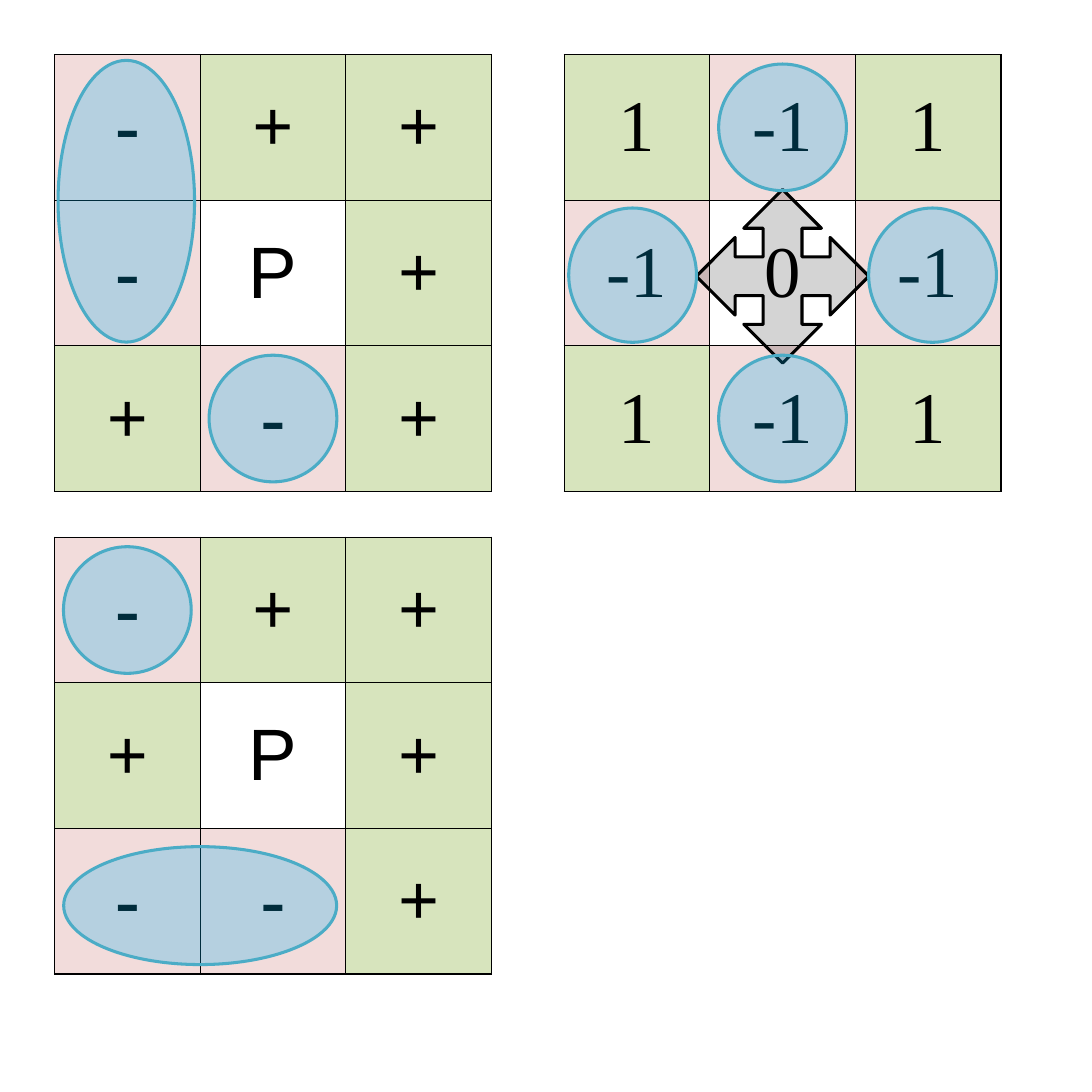
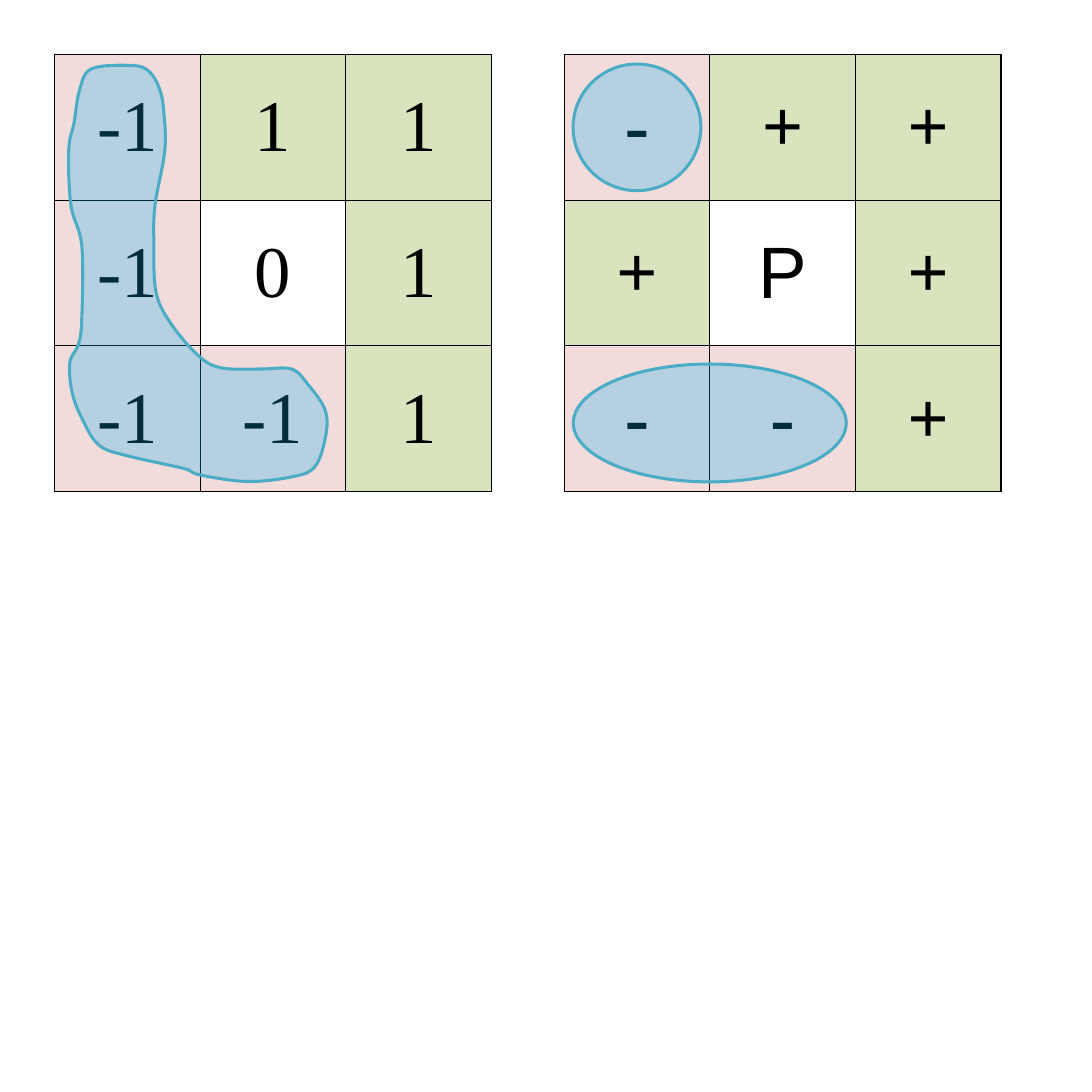
from lxml import etree
from pptx import Presentation
from pptx.dml.color import RGBColor
from pptx.enum.shapes import MSO_SHAPE
from pptx.enum.text import MSO_ANCHOR, PP_ALIGN
from pptx.oxml.ns import qn
from pptx.util import Inches, Pt

ELLIPSE = MSO_SHAPE.OVAL
QUAD_ARROW = MSO_SHAPE.QUAD_ARROW
CENTER = PP_ALIGN.CENTER
MIDDLE = MSO_ANCHOR.MIDDLE

BLACK, WHITE = "000000", "FFFFFF"
PINK, GREEN = "F2DCDB", "D7E4BD"
SKY, TEAL = "00B0F0", "4BACC6"
SERIF, SANS = "Times New Roman", "Arial"

# Three cells make a grid; the second grid starts half a cell after the first
GRID_SIZE = 4
CELL = GRID_SIZE / 3
LEFT, TOP = 0.5, 0.5
RIGHT = LEFT + 3.5 * CELL
BOTTOM = 4.92

# Width and height of the marks laid over the cells
ROUND = (1.17, 1.16)
SIDE_ROUND = (1.17, 1.23)
TALL = (1.25, 2.58)
WIDE = (2.5, 1.08)
ARROW = (1.58, 1.59)

CORNER_SIGNS = ["- + +", "+ P +", "- - +"]

# The L-shaped group, side by side, in inches from the corner of its grid
TOP_END = [(0.7, 0.1), (0.34, 0.13)]
OUTER_LEFT = [(0.23, 0.32), (0.18, 0.62), (0.13, 0.87), (0.15, 1.38), (0.25, 1.75),
              (0.25, 2.41), (0.22, 2.65), (0.14, 2.82), (0.16, 3.09), (0.25, 3.33)]
OUTER_BOTTOM = [(0.41, 3.58), (0.69, 3.68), (1.18, 3.79), (1.33, 3.85),
                (1.76, 3.91), (2.16, 3.87)]
RIGHT_END = [(2.38, 3.78), (2.48, 3.51), (2.48, 3.26), (2.32, 3.02), (2.17, 2.88)]
INNER_BEND = [(1.89, 2.88), (1.53, 2.87), (1.32, 2.76), (1.07, 2.47), (0.93, 2.18)]
INNER_RIGHT = [(0.91, 1.74), (0.92, 1.38), (1.01, 0.88), (1.0, 0.52),
               (0.96, 0.31), (0.86, 0.15)]
GROUP = TOP_END + OUTER_LEFT + OUTER_BOTTOM + RIGHT_END + INNER_BEND + INNER_RIGHT


def color(value):
    return RGBColor.from_string(value)


def write(cell, text, size=48, font=SERIF, bold=False, ink=BLACK):
    para = cell.text_frame.paragraphs[0]
    para.alignment = CENTER
    span = para.add_run()
    span.text = text
    span.font.size = Pt(size)
    span.font.name = font
    span.font.bold = bold
    span.font.color.rgb = color(ink)


def add_borders(cell, ink=BLACK, width=1):
    properties = cell._tc.get_or_add_tcPr()
    for index, side in enumerate(("a:lnL", "a:lnR", "a:lnT", "a:lnB")):
        line = etree.Element(qn(side), w=str(Pt(width)))
        fill = etree.SubElement(line, qn("a:solidFill"))
        etree.SubElement(fill, qn("a:srgbClr"), val=ink)
        properties.insert(index, line)


def cell_fill(text):
    """Pink for negative neighbours, green for positive, white for the centre."""
    if text.startswith("-"):
        return PINK
    return WHITE if text in ("P", "0") else GREEN


def smooth(anchors, steps=6):
    """Return points on a closed Catmull-Rom curve through the anchors."""
    points = []
    count = len(anchors)
    for index in range(count):
        near = [anchors[(index + offset) % count] for offset in (-1, 0, 1, 2)]
        for step in range(steps):
            t = step / steps
            weights = (-t + 2 * t**2 - t**3, 2 - 5 * t**2 + 3 * t**3,
                       t + 4 * t**2 - 3 * t**3, t**3 - t**2)
            points.append([sum(w * value for w, value in zip(weights, axis)) / 2
                           for axis in zip(*near)])
    return points


class Board:
    """Holds the deck, its style and the current slide."""

    def __init__(self):
        self.deck = Presentation()
        self.deck.slide_width = self.deck.slide_height = Inches(10)
        self.page = None

    def new_page(self):
        self.page = self.deck.slides.add_slide(self.deck.slide_layouts[6])

    def grid(self, left, top, rows):
        """Draw a table from rows of spaced values and return its corner."""
        values = [row.split() for row in rows]
        side = Inches(GRID_SIZE)
        table = self.page.shapes.add_table(
            len(values), len(values[0]), Inches(left), Inches(top), side, side).table
        table.first_row = table.horz_banding = False
        for r, row in enumerate(values):
            for c, text in enumerate(row):
                self.fill_cell(table.cell(r, c), text)
        return left, top

    def fill_cell(self, cell, text):
        cell.vertical_anchor = MIDDLE
        cell.margin_left = cell.margin_right = Inches(0.13)
        cell.margin_top = cell.margin_bottom = Inches(0.07)
        cell.fill.solid()
        cell.fill.fore_color.rgb = color(cell_fill(text))
        add_borders(cell)
        write(cell, text, font=SANS if text == "P" else SERIF, bold=text in ("+", "-"))

    def tint(self, shape, fill=SKY, line=TEAL, opacity=25):
        """Give the shape a see-through fill and a plain line."""
        shape.shadow.inherit = False
        shape.fill.solid()
        shape.fill.fore_color.rgb = color(fill)
        tone = shape.element.spPr.find(qn("a:solidFill"))[0]
        etree.SubElement(tone, qn("a:alpha"), val=str(opacity * 1000))
        shape.line.color.rgb = color(line)
        shape.line.width = Pt(2)

    def mark(self, corner, first, last=None, size=ROUND, shift=(0, 0),
             kind=ELLIPSE, **look):
        """Centre a shape on the cells (column, row) from first to last."""
        place = [
            start + (a + b + 1) * CELL / 2 + move - length / 2
            for start, a, b, move, length in zip(corner, first, last or first, shift, size)
        ]
        shape = self.page.shapes.add_shape(
            kind, *[Inches(value) for value in (*place, *size)])
        self.tint(shape, **look)

    def outline(self, corner, anchors):
        """Draw a smooth closed outline, measured from the corner of a grid."""
        start, *rest = [
            [Inches(origin + value) for origin, value in zip(corner, point)]
            for point in smooth(anchors)
        ]
        builder = self.page.shapes.build_freeform(*start)
        builder.add_line_segments(rest, close=True)
        self.tint(builder.convert_to_shape())

    def corner_signs(self, left, top):
        """Draw the grid with one single negative corner and one negative pair."""
        corner = self.grid(left, top, CORNER_SIGNS)
        self.mark(corner, (0, 2), (1, 2), size=WIDE, shift=(0, 0.04))
        self.mark(corner, (0, 0))


def add_neighbour_groups(board):
    board.new_page()
    signs = board.grid(LEFT, TOP, ["- + +", "- P +", "+ - +"])
    board.mark(signs, (0, 0), (0, 1), size=TALL, shift=(-0.01, 0.01))
    board.mark(signs, (1, 2))

    numbers = board.grid(RIGHT, TOP, ["1 -1 1", "-1 0 -1", "1 -1 1"])
    board.mark(numbers, (1, 1), size=ARROW, shift=(0, 0.03), kind=QUAD_ARROW,
               fill=BLACK, line=BLACK, opacity=17)
    for row in (0, 2):
        board.mark(numbers, (1, row))
    for column, outward in ((0, -0.04), (2, 0.04)):
        board.mark(numbers, (column, 1), size=SIDE_ROUND, shift=(outward, 0.02))

    board.corner_signs(LEFT, BOTTOM)


def add_connected_group(board):
    board.new_page()
    numbers = board.grid(LEFT, TOP, ["-1 1 1", "-1 0 1", "-1 -1 1"])
    board.corner_signs(RIGHT, TOP)
    board.outline(numbers, GROUP)


def main():
    board = Board()
    add_neighbour_groups(board)
    add_connected_group(board)
    board.deck.save("out.pptx")


if __name__ == "__main__":
    main()
